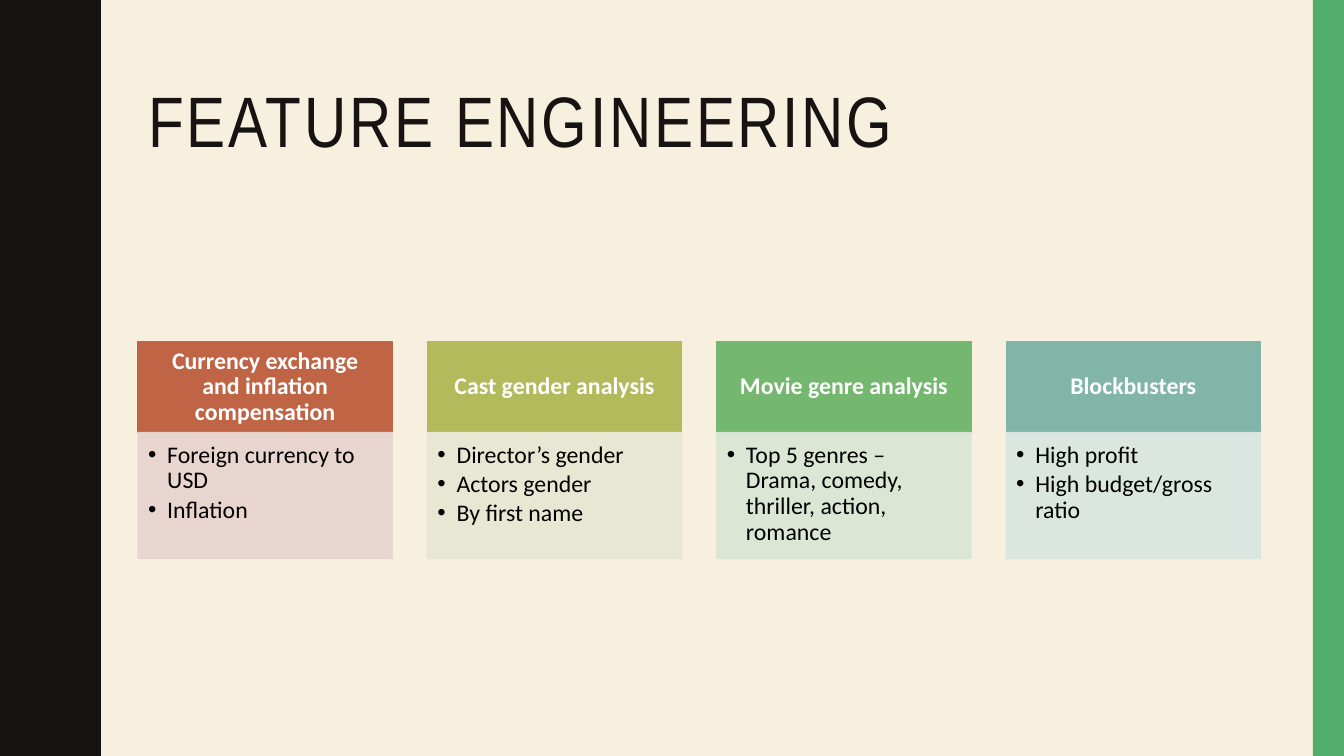
import pptx
import pptx.util
import pptx.dml.color
import pptx.enum.shapes
import pptx.enum.text
import pptx.oxml.ns
from lxml import etree

Inches = pptx.util.Inches
Pt = pptx.util.Pt
qn = pptx.oxml.ns.qn
ALIGN = pptx.enum.text.PP_ALIGN
ANCHOR = pptx.enum.text.MSO_ANCHOR

WAVE_PERIOD = 1.5
WAVE_RISE = [(0.78, 0), (0.78, 0.07), (0.79, 0.14), (0.8, 0.2), (0.81, 0.25),
             (0.83, 0.29), (0.85, 0.33), (0.87, 0.38), (0.89, 0.42), (0.91, 0.46),
             (0.93, 0.5), (0.95, 0.55), (0.96, 0.61), (0.97, 0.68), (0.97, 0.75)]

TOPICS = [
    ("Currency exchange and inflation compensation", "BF6546", "E8D3CF",
     ["Foreign currency to USD", "Inflation"]),
    ("Cast gender analysis", "B2BA5B", "E7E7D2",
     ["Director’s gender", "Actors gender", "By first name"]),
    ("Movie genre analysis", "74B76F", "D8E6D5",
     ["Top 5 genres – Drama, comedy, thriller, action, romance"]),
    ("Blockbusters", "81B5A8", "D8E5E1",
     ["High profit", "High budget/gross ratio"]),
]


def color(hex_code):
    return pptx.dml.color.RGBColor.from_string(hex_code)


def write(frame, lines, size=17, font="Calibri", ink="000000", bold=False, align=ALIGN.LEFT,
          anchor=ANCHOR.TOP, insets=(0.1, 0.05, 0.1, 0.05), after=0, tracking=0, bullet=False):
    frame.word_wrap = True
    frame.vertical_anchor = anchor
    (frame.margin_left, frame.margin_top,
     frame.margin_right, frame.margin_bottom) = map(Inches, insets)
    for index, line in enumerate(lines):
        paragraph = frame.add_paragraph() if index else frame.paragraphs[0]
        paragraph.alignment = align
        paragraph.line_spacing = 0.9
        paragraph.space_after = Pt(after)
        run = paragraph.add_run()
        run.text = line
        run.font.size = Pt(size)
        run.font.name = font
        run.font.bold = bold
        run.font.color.rgb = color(ink)
        if tracking:
            run._r.get_or_add_rPr().set("spc", str(tracking * 100))
        if bullet:
            properties = paragraph._p.get_or_add_pPr()
            properties.set("marL", str(Inches(0.19)))
            properties.set("indent", str(-Inches(0.19)))
            etree.SubElement(properties, qn("a:buFont")).set("typeface", "Arial")
            etree.SubElement(properties, qn("a:buChar")).set("char", "•")


class SlideBuilder:
    ink = "171312"
    paper = "F7F0DF"
    accent = "53AE6E"

    def __init__(self, slide):
        self.slide = slide
        slide.background.fill.solid()
        slide.background.fill.fore_color.rgb = color(self.paper)

    def paint(self, shape, fill, outlined=False, opacity=100):
        shape.shadow.inherit = False
        shape.fill.solid()
        shape.fill.fore_color.rgb = color(fill)
        if outlined:
            shape.line.color.rgb = color(fill)
            shape.line.width = Pt(1)
        else:
            shape.line.fill.background()
        if opacity < 100:
            for tint in shape._element.spPr.iter(qn("a:srgbClr")):
                etree.SubElement(tint, qn("a:alpha")).set("val", str(opacity * 1000))
        return shape

    def box(self, left, top, width, height, fill, **paint_format):
        shape = self.slide.shapes.add_shape(
            pptx.enum.shapes.MSO_SHAPE.RECTANGLE,
            Inches(left), Inches(top), Inches(width), Inches(height))
        return self.paint(shape, fill, **paint_format)

    def outline(self, points, fill):
        start, *rest = points
        freeform = self.slide.shapes.build_freeform(*start, scale=Inches(1))
        freeform.add_line_segments(rest, close=True)
        return self.paint(freeform.convert_to_shape(), fill)

    def label(self, left, top, width, height, text, **text_format):
        text_box = self.slide.shapes.add_textbox(
            Inches(left), Inches(top), Inches(width), Inches(height))
        write(text_box.text_frame, [text], **text_format)


def main():
    deck = pptx.Presentation()
    deck.slide_width = Inches(13.33)
    deck.slide_height = Inches(7.5)
    builder = SlideBuilder(deck.slides.add_slide(deck.slide_layouts[6]))

    wave_fall = [(x, WAVE_PERIOD - y) for x, y in reversed(WAVE_RISE[:-1])]
    wave = [(x, y + crest * WAVE_PERIOD)
            for crest in range(5) for x, y in WAVE_RISE + wave_fall]
    builder.outline([(0, 0), *wave, (0, 7.5)], builder.ink)
    builder.box(13.02, 0, 0.31, 7.5, builder.accent)

    builder.label(1.37, 0.42, 11.13, 1.63, "FEATURE ENGINEERING", size=51,
                  font="Arial Narrow", ink=builder.ink, anchor=ANCHOR.MIDDLE, tracking=2)

    for column, (topic, header_fill, body_fill, points) in enumerate(TOPICS):
        left = 1.37 + column * 2.87
        header = builder.box(left, 3.39, 2.52, 0.9, header_fill, outlined=True)
        write(header.text_frame, [topic], ink="FFFFFF", bold=True, align=ALIGN.CENTER,
              anchor=ANCHOR.MIDDLE, insets=(0.13, 0.08, 0.13, 0.08))
        body = builder.box(left, 4.29, 2.52, 1.25, body_fill, outlined=True, opacity=90)
        write(body.text_frame, points, insets=(0.1, 0.1, 0.13, 0.15), after=2.5, bullet=True)

    deck.save("out.pptx")


if __name__ == "__main__":
    main()
